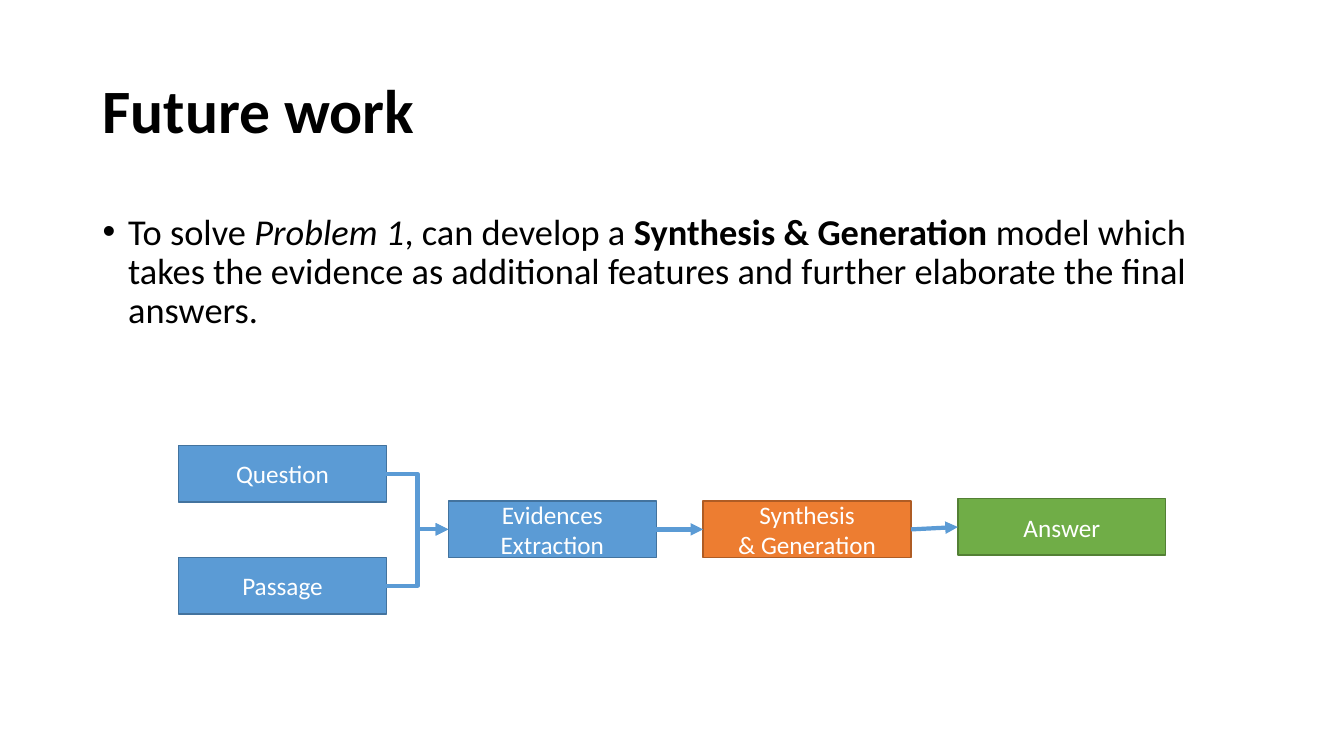
from lxml.etree import SubElement
from pptx import Presentation
from pptx.dml.color import RGBColor
from pptx.enum.shapes import MSO_CONNECTOR, MSO_SHAPE
from pptx.enum.text import MSO_ANCHOR, PP_ALIGN
from pptx.oxml.ns import qn
from pptx.util import Cm, Pt


def tint(code):
    return RGBColor.from_string(code)


def write(para, text, size=18, color="000000", bold=False, italic=False):
    run = para.add_run()
    run.text = text
    font = run.font
    font.name, font.size = "Calibri", Pt(size)
    font.bold, font.italic = bold, italic
    font.color.rgb = tint(color)


deck = Presentation()
deck.slide_width, deck.slide_height = Cm(33.87), Cm(19.05)
slide = deck.slides.add_slide(deck.slide_layouts[6])
shapes = slide.shapes

# Title
title = shapes.add_textbox(Cm(2.34), Cm(1.02), Cm(29.21), Cm(3.68)).text_frame
title.word_wrap = True
title.vertical_anchor = MSO_ANCHOR.MIDDLE
para = title.paragraphs[0]
para.line_spacing = 0.9
write(para, "Future work", size=44, bold=True)

# Bullet text
body = shapes.add_textbox(Cm(2.34), Cm(5.26), Cm(28.24), Cm(3.61)).text_frame
body.word_wrap = True
para = body.paragraphs[0]
para.line_spacing = 0.9
para.space_before = Pt(10)
props = para._p.get_or_add_pPr()
props.set("marL", str(Cm(0.64)))
props.set("indent", str(-Cm(0.64)))
SubElement(props, qn("a:buFont"), typeface="Arial")
SubElement(props, qn("a:buChar"), char="•")
write(para, "To solve ", size=26)
write(para, "Problem 1", size=26, italic=True)
write(para, ", can develop a ", size=26)
write(para, "Synthesis & Generation ", size=26, bold=True)
write(para, "model which takes the evidence as additional features "
      "and further elaborate the final answers.", size=26)

# Boxes of the flow: lines, left, top, fill, edge
blue = ("5B9BD5", "43739E")
steps = [
    (["Question"], 4.5, 11.23, *blue),
    (["Passage"], 4.5, 14.05, *blue),
    (["Evidences", "Extraction"], 11.3, 12.63, *blue),
    (["Synthesis", "& Generation"], 17.72, 12.63, "ED7D31", "AF5C24"),
    (["Answer"], 24.14, 12.57, "70AD47", "538035"),
]
boxes = []
for lines, left, top, fill, edge in steps:
    box = shapes.add_shape(MSO_SHAPE.RECTANGLE, Cm(left), Cm(top), Cm(5.24), Cm(1.42))
    box.shadow.inherit = False
    box.fill.solid()
    box.fill.fore_color.rgb = tint(fill)
    box.line.color.rgb = tint(edge)
    box.line.width = Pt(1)
    frame = box.text_frame
    frame.word_wrap = True
    frame.vertical_anchor = MSO_ANCHOR.MIDDLE
    for i, line in enumerate(lines):
        para = frame.add_paragraph() if i else frame.paragraphs[0]
        para.alignment = PP_ALIGN.CENTER
        write(para, line, color="FFFFFF")
    boxes.append(box)

# Arrows from the right side of one box to the left side of the next
asked, passage, proof, blend, answer = boxes
bent, flat = MSO_CONNECTOR.ELBOW, MSO_CONNECTOR.STRAIGHT
links = [(asked, proof, bent), (passage, proof, bent),
         (proof, blend, flat), (blend, answer, flat)]
for start, end, kind in links:
    arrow = shapes.add_connector(kind, 0, 0, 0, 0)
    arrow.begin_connect(start, 3)
    arrow.end_connect(end, 1)
    arrow.line.color.rgb = tint("5B9BD5")
    arrow.line.width = Pt(3)
    SubElement(arrow.line._get_or_add_ln(), qn("a:tailEnd"), type="triangle")
    SubElement(arrow._element.spPr, qn("a:effectLst"))

deck.save("out.pptx")
